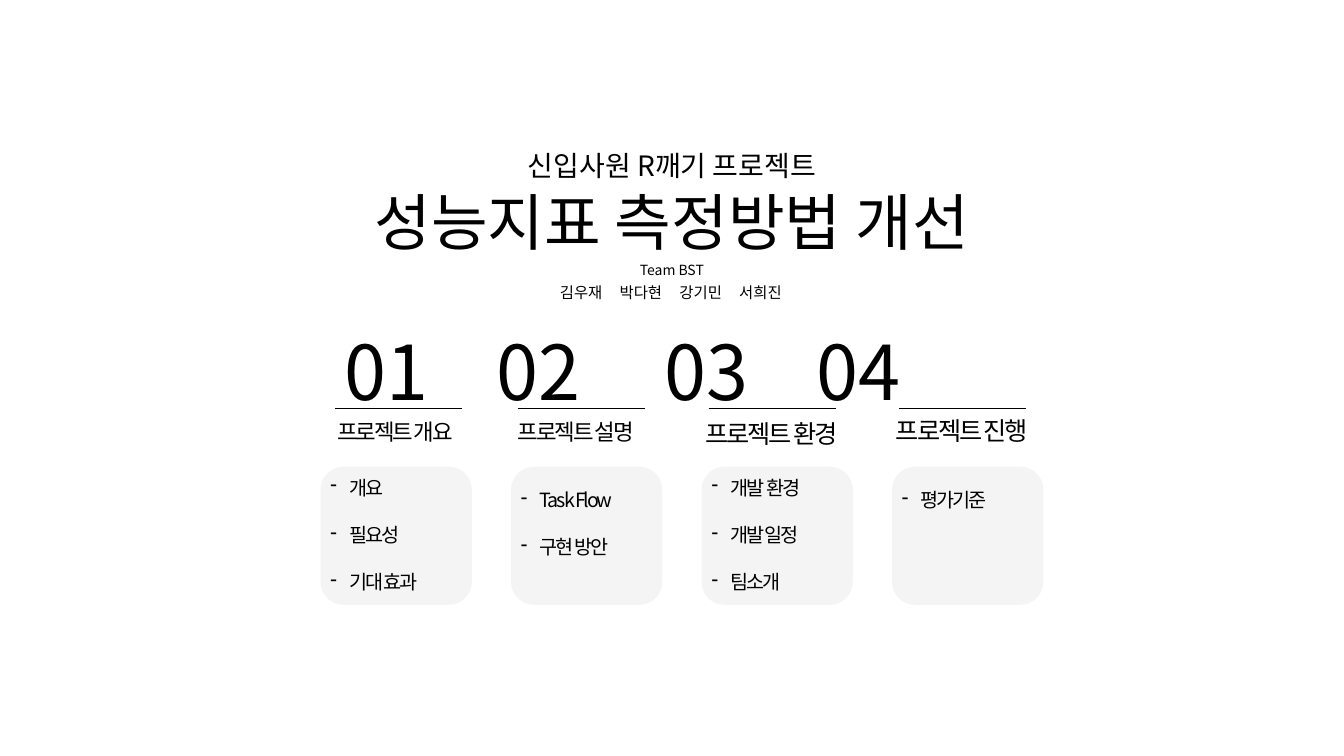
import pptx
import pptx.util
import pptx.dml.color
import pptx.enum.shapes
import pptx.enum.text
import pptx.oxml
import pptx.oxml.ns

Pt = pptx.util.Pt
ALIGN = pptx.enum.text.PP_ALIGN
ANCHOR = pptx.enum.text.MSO_ANCHOR
FONT = "Noto Sans CJK KR"
COLORS = {"ink": "000000", "card": "F2F2F2"}

TITLE = "성능지표 측정방법 개선"
SUBTITLE = "신입사원 R깨기 프로젝트"
TEAM = "Team BST"
MEMBERS = ["김우재", "박다현", "강기민", "서희진"]
NUMBERS = ["01", "02", "03", "04"]
NUMBER_STOPS = [108.6, 228.5, 337]
MEMBER_STOPS = [42.7, 85.4, 128.1]
SECTIONS = [
    {"heading": "프로젝트 개요", "box": (228.2, 295.2, 108, 27), "size": 16, "align": ALIGN.CENTER,
     "rule": 239, "items": ["개요", "필요성", "기대 효과"], "items_top": 336.2},
    {"heading": "프로젝트 설명", "box": (362.9, 295.2, 142, 27), "size": 16, "align": ALIGN.LEFT,
     "rule": 370, "items": ["Task Flow", "구현 방안"], "items_top": 344.9},
    {"heading": "프로젝트 환경", "box": (496.8, 295.2, 136, 29), "size": 18, "align": ALIGN.LEFT,
     "rule": 506.2, "items": ["개발  환경", "개발 일정", "팀소개"], "items_top": 336.2},
    {"heading": "프로젝트 진행", "box": (632.9, 293, 147.6, 29), "size": 18, "align": ALIGN.LEFT,
     "rule": 642.2, "items": ["평가기준"], "items_top": 344.9},
]
CARD_LEFT, CARD_TOP, CARD_WIDTH, CARD_HEIGHT, CARD_PITCH = 229, 333.4, 108, 98.6, 136.08
RULE_TOP, RULE_WIDTH = 291.6, 90.7
ITEM_GAP, ITEM_INDENT = 16.8, 13.5


def color(name):
    return pptx.dml.color.RGBColor.from_string(COLORS[name])


def add_child(parent, tag, **attributes):
    child = pptx.oxml.parse_xml(f"<{tag} {pptx.oxml.ns.nsdecls('a')}/>")
    for key, value in attributes.items():
        child.set(key, str(value))
    parent.append(child)
    return child


def add_text(page, box, lines, size, align=ALIGN.LEFT, tight=False, anchor=ANCHOR.TOP):
    shape = page.shapes.add_textbox(*map(Pt, box))
    frame = shape.text_frame
    frame.text = "\n".join(lines)
    frame.word_wrap = True
    frame.vertical_anchor = anchor
    for para in frame.paragraphs:
        para.alignment = align
        for span in para.runs:
            span.font.size = Pt(size)
            span.font.name = FONT
            span.font.color.rgb = color("ink")
            properties = span.font._element
            add_child(properties, "a:ea", typeface=FONT)
            if tight:
                properties.set("spc", "-150")
    return frame


def add_stops(para, stops):
    tabs = add_child(para._p.get_or_add_pPr(), "a:tabLst")
    for stop in stops:
        add_child(tabs, "a:tab", pos=int(Pt(stop)), algn="l")


def add_card(page, left):
    card = page.shapes.add_shape(pptx.enum.shapes.MSO_SHAPE.ROUNDED_RECTANGLE,
                                 Pt(left), Pt(CARD_TOP), Pt(CARD_WIDTH), Pt(CARD_HEIGHT))
    card.shadow.inherit = False
    card.fill.solid()
    card.fill.fore_color.rgb = color("card")
    card.line.fill.background()
    shade = card._element.spPr.find(".//" + pptx.oxml.ns.qn("a:srgbClr"))
    add_child(shade, "a:alpha", val=80000)


def add_rule(page, left):
    rule = page.shapes.add_connector(pptx.enum.shapes.MSO_CONNECTOR.STRAIGHT,
                                     Pt(left), Pt(RULE_TOP), Pt(left + RULE_WIDTH), Pt(RULE_TOP))
    rule.line.color.rgb = color("ink")
    rule.line.width = Pt(0.5)
    add_child(rule._element.spPr, "a:effectLst")


def add_items(page, left, section):
    items = section["items"]
    height = 28 + 37 * (len(items) - 1)
    frame = add_text(page, (left, section["items_top"], CARD_WIDTH, height), items, 14, tight=True)
    for para in frame.paragraphs:
        if para is not frame.paragraphs[-1]:
            para.space_after = Pt(ITEM_GAP)
        properties = para._p.get_or_add_pPr()
        properties.set("marL", str(int(Pt(ITEM_INDENT))))
        properties.set("indent", str(-int(Pt(ITEM_INDENT))))
        add_child(properties, "a:buChar", char="-")


def main():
    deck = pptx.Presentation()
    deck.slide_width, deck.slide_height = Pt(960), Pt(540)
    page = deck.slides.add_slide(deck.slide_layouts[6])

    title = add_text(page, (120, 67, 720, 188), [TITLE], 44, ALIGN.CENTER, anchor=ANCHOR.MIDDLE)
    title.paragraphs[0].line_spacing = 0.9
    subtitle = add_text(page, (120, 105.1, 720, 32.4), [SUBTITLE], 20, ALIGN.CENTER)
    subtitle.paragraphs[0].line_spacing = 0.9
    subtitle.paragraphs[0].space_before = Pt(10)

    team = add_text(page, (326.9, 182.9, 306, 37.4), [TEAM, "\t".join(MEMBERS)], 11, ALIGN.CENTER)
    team.margin_left = team.margin_right = Pt(73)
    name, members = team.paragraphs
    name.runs[0].font.size = Pt(10)
    name.space_after = Pt(3.6)
    members.alignment = ALIGN.LEFT
    add_stops(members, MEMBER_STOPS)

    numbers = add_text(page, (239, 228.2, 669, 72.7), ["\t".join(NUMBERS)], 54)
    add_stops(numbers.paragraphs[0], NUMBER_STOPS)

    for index, section in enumerate(SECTIONS):
        left = CARD_LEFT + index * CARD_PITCH
        add_card(page, left)
        add_rule(page, section["rule"])
        add_text(page, section["box"], [section["heading"]], section["size"], section["align"], tight=True)
        add_items(page, left, section)

    deck.save("out.pptx")


if __name__ == "__main__":
    main()
